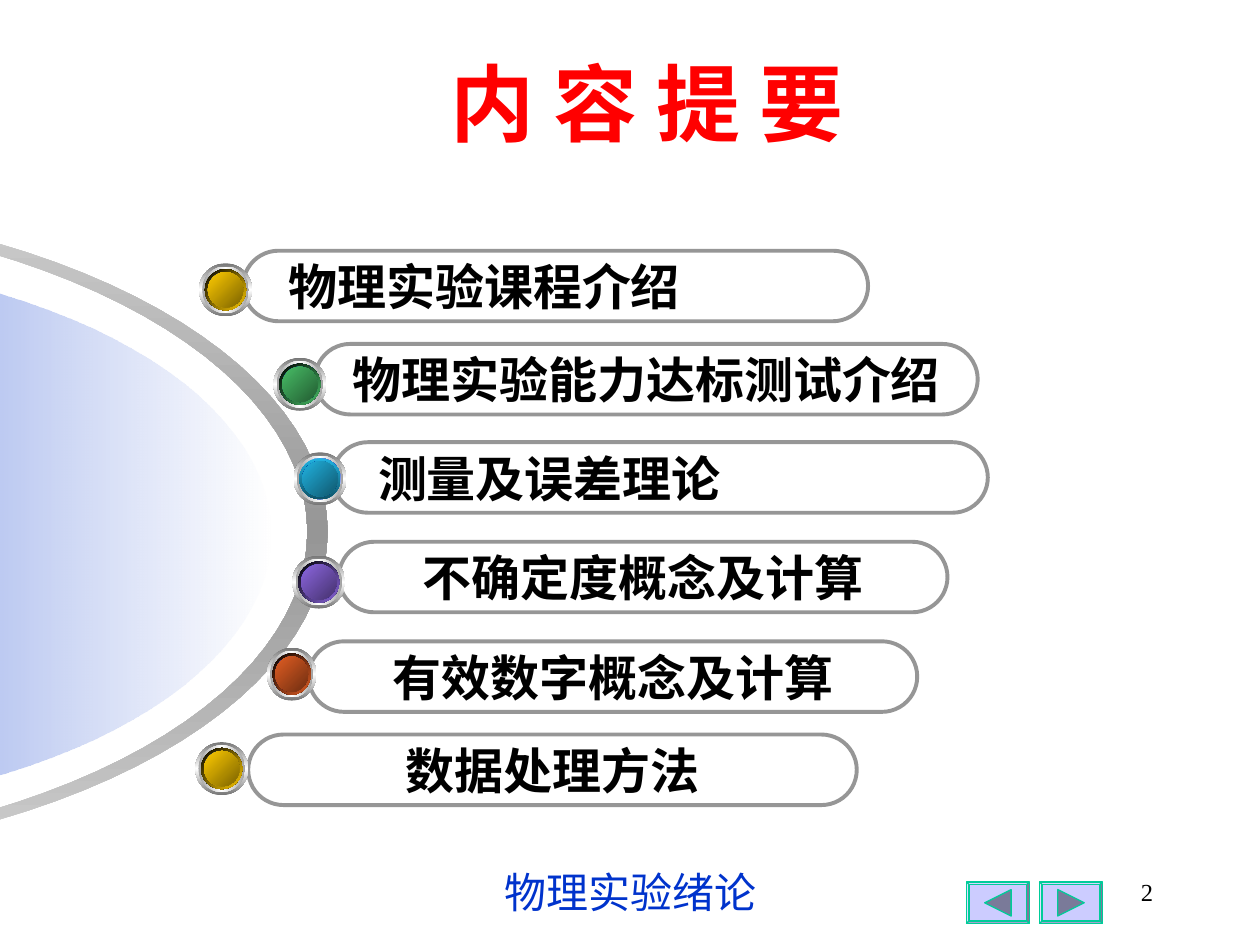
import math

import pptx
import pptx.dml.color
import pptx.enum.shapes
import pptx.enum.text
import pptx.oxml
import pptx.oxml.ns
import pptx.util
from lxml import etree

SHAPE = pptx.enum.shapes.MSO_SHAPE
ALIGN = pptx.enum.text.PP_ALIGN
ANCHOR = pptx.enum.text.MSO_ANCHOR
qn = pptx.oxml.ns.qn

COLORS = {
    "black": "000000", "white": "FFFFFF", "title": "FF0000", "blue": "0033CC",
    "navy": "001C6E", "line": "969696", "silver": "CFCFCF", "steel": "767676",
    "grey": "A2A2A2", "button": "CCCCFF", "button line": "00CC99", "arrow": "7A7A99",
    "gold": "FFCC00", "dark gold": "7C6300", "green": "48BE67", "dark green": "235C32",
    "cyan": "21B3E1", "dark cyan": "10576D", "cyan rim": "0F5368",
    "violet": "8D67E1", "dark violet": "45326D", "orange": "E35E23", "dark orange": "6E2E11",
}
CJK, LATIN = "Noto Sans CJK SC", "Times New Roman"
COLUMNS, ROWS = 100, 75
BAR_HEIGHT, BEAD_HEIGHT = 5.6, 4.2

# Text, bar (left, top, width), left aligned, bead (left, top, width), bead colour
TOPICS = [
    ("物理实验课程介绍", (19.3, 19.9, 49.6), True, (15.8, 20.9, 4.2), "gold"),
    ("物理实验能力达标测试介绍", (25, 27.3, 52.6), False, (21.7, 28.4, 4.2), "green"),
    ("测量及误差理论", (26.4, 35.1, 52), True, (23.3, 35.9, 4.2), "cyan"),
    ("不确定度概念及计算", (26.9, 43, 48.3), False, (23.2, 44.1, 4.2), "violet"),
    ("有效数字概念及计算", (24.5, 50.9, 48.3), False, (21.2, 51.4, 3.9), "orange"),
    ("数据处理方法", (19.7, 58.3, 48.3), False, (15.5, 58.9, 4.2), "gold"),
]


class SlideBuilder:
    """Holds the style and the current slide; lengths are grid columns and rows."""

    def __init__(self, presentation):
        self.slide = presentation.slides.add_slide(presentation.slide_layouts[5])
        self.column = presentation.slide_width / COLUMNS
        self.row = presentation.slide_height / ROWS

    def place(self, left, top, width, height):
        return (round(left * self.column), round(top * self.row),
                round(width * self.column), round(height * self.row))

    def color(self, name):
        return pptx.dml.color.RGBColor.from_string(COLORS[name])

    def gradient(self, shape, stops, angle):
        """Fill with evenly spaced stops, each (colour, opacity in percent)."""
        shape.fill.gradient()
        shape.fill.gradient_angle = (360 - angle) % 360
        stop_list = shape.element.xpath(".//a:gsLst")[0]
        for stop in list(stop_list):
            stop_list.remove(stop)
        for index, (name, opacity) in enumerate(stops):
            position = round(100000 * index / (len(stops) - 1))
            stop = etree.SubElement(stop_list, qn("a:gs"), pos=str(position))
            color = etree.SubElement(stop, qn("a:srgbClr"), val=COLORS[name])
            if opacity < 100:
                etree.SubElement(color, qn("a:alpha"), val=str(opacity * 1000))
        shape.line.fill.background()
        shape.shadow.inherit = False

    def shape(self, kind, box, fill=None, line=None, width=0.75):
        shape = self.slide.shapes.add_shape(kind, *self.place(*box))
        shape.shadow.inherit = False
        if fill:
            shape.fill.solid()
            shape.fill.fore_color.rgb = self.color(fill)
        else:
            shape.fill.background()
        shape.line.color.rgb = self.color(line)
        shape.line.width = pptx.util.Pt(width)
        return shape

    def set_text(self, shape, text, size, color, font, bold=False,
                 align=ALIGN.CENTER, anchor=ANCHOR.MIDDLE, indent=0):
        frame = shape.text_frame
        frame.word_wrap = True
        frame.auto_size = pptx.enum.text.MSO_AUTO_SIZE.NONE
        frame.vertical_anchor = anchor
        paragraph = frame.paragraphs[0]
        paragraph.text = text
        paragraph.alignment = align
        if indent:
            paragraph._p.get_or_add_pPr().set("marL", str(round(indent * self.column)))
        paragraph.font.name = font
        paragraph.font.size = pptx.util.Pt(size)
        paragraph.font.bold = bold
        paragraph.font.color.rgb = self.color(color)
        if font == CJK:
            latin = paragraph._p.xpath(".//a:defRPr/a:latin")[0]
            latin.addnext(latin.makeelement(qn("a:ea"), {"typeface": font}))

    def title(self, text, box):
        title = self.slide.shapes.title
        title.left, title.top, title.width, title.height = self.place(*box)
        self.set_text(title, text, 48, "title", CJK, bold=True, anchor=ANCHOR.TOP)

    def label(self, text, box, **style):
        self.set_text(self.slide.shapes.add_textbox(*self.place(*box)), text, **style)

    def half_ellipse(self, center, radii, reverse=False, steps=60):
        angles = [math.pi * step / steps - math.pi / 2 for step in range(steps + 1)]
        points = [(round((center[0] + radii[0] * math.cos(angle)) * self.column),
                   round((center[1] + radii[1] * math.sin(angle)) * self.row))
                  for angle in angles]
        return points[::-1] if reverse else points

    def outline(self, points, stops, angle):
        builder = self.slide.shapes.build_freeform(*points[0])
        builder.add_line_segments(points[1:], close=True)
        self.gradient(builder.convert_to_shape(), stops, angle)

    def bar(self, text, left, top, width, left_aligned):
        bar = self.shape(SHAPE.ROUNDED_RECTANGLE, (left, top, width, BAR_HEIGHT),
                         line="line", width=2.25)
        bar.adjustments[0] = 0.5
        self.set_text(bar, text, 28, "black", CJK, bold=True,
                      align=ALIGN.LEFT if left_aligned else ALIGN.CENTER,
                      indent=1.8 if left_aligned else 0)

    def bead(self, left, top, width, color):
        dark = "dark " + color
        rim = ("cyan", "cyan rim") if color == "cyan" else ("black", color)
        layers = [
            (1, ("steel", "white", "steel"), 90),
            (0.88, ("grey", "white", "grey"), 0),
            (0.78, ("white", "blue", "white"), 45),
            (0.78, rim, 90 if color == "cyan" else 45),
            (0.67, ("navy", "blue", "navy"), 315),
            (0.67, (color, dark), 45),
        ]
        group = self.slide.shapes.add_group_shape()
        for scale, names, angle in layers:
            margin = (1 - scale) / 2
            box = (left + margin * width, top + margin * BEAD_HEIGHT,
                   scale * width, scale * BEAD_HEIGHT)
            disc = group.shapes.add_shape(SHAPE.OVAL, *self.place(*box))
            self.gradient(disc, [(name, 100) for name in names], angle)

    def button(self, left, top, rotation):
        frame = self.shape(SHAPE.BEVEL, (left, top, 5, 3.3), "button", "button line")
        frame.adjustments[0] = 0.06
        arrow = self.shape(SHAPE.ISOSCELES_TRIANGLE, (left + 1.45, top + 0.6, 2.1, 2.1),
                           "arrow", "button line")
        arrow.rotation = rotation


def main():
    presentation = pptx.Presentation()
    presentation.slide_width = pptx.util.Inches(10)
    presentation.slide_height = pptx.util.Inches(7.5)
    builder = SlideBuilder(presentation)

    # Title
    builder.title("内 容 提 要", (13.8, 3.6, 75.1, 6.9))

    # Navigation buttons
    builder.button(76.7, 70, 270)
    builder.button(82.5, 70, 90)

    # Ring and disc at the left edge
    center = (-26.2, 42.2)
    ring = (builder.half_ellipse(center, (52.2, 26.4))
            + builder.half_ellipse(center, (50.6, 25.6), reverse=True))
    builder.outline(ring, [("silver", 100), ("line", 100), ("silver", 100)], 90)
    builder.outline(builder.half_ellipse((-21.5, 42.4), (43, 22)),
                    [("blue", 56), ("white", 48)], 0)

    # Topics with their beads
    for text, bar, left_aligned, bead, color in TOPICS:
        builder.bar(text, *bar, left_aligned)
        builder.bead(*bead, color)

    # Footer and slide number
    builder.label("物理实验绪论", (34.2, 68.3, 31.7, 5), size=24, color="blue", font=LATIN)
    builder.label("2", (71.7, 68.3, 20.8, 5), size=14, color="black", font=LATIN,
                  align=ALIGN.RIGHT)

    presentation.save("out.pptx")


if __name__ == "__main__":
    main()
